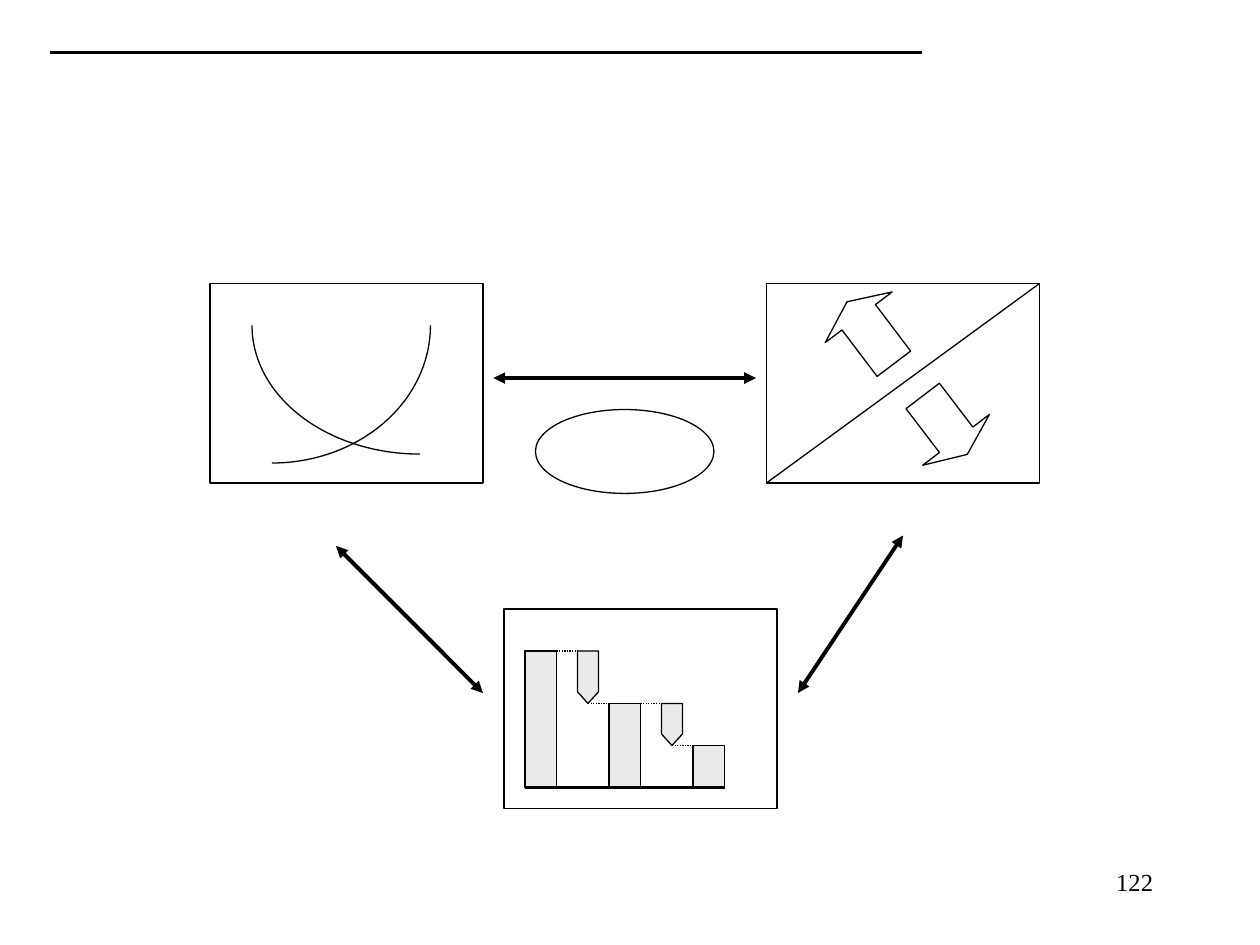
from dataclasses import dataclass
from lxml import etree
from pptx import Presentation
from pptx.dml.color import RGBColor
from pptx.enum.dml import MSO_LINE
from pptx.enum.shapes import MSO_CONNECTOR, MSO_SHAPE
from pptx.enum.text import PP_ALIGN
from pptx.oxml.ns import qn
from pptx.util import Cm, Pt

RECT, OVAL, ARC = MSO_SHAPE.RECTANGLE, MSO_SHAPE.OVAL, MSO_SHAPE.ARC
LEFT, RIGHT = MSO_SHAPE.LEFT_ARROW, MSO_SHAPE.RIGHT_ARROW
STRAIGHT, DOT = MSO_CONNECTOR.STRAIGHT, MSO_LINE.ROUND_DOT
END = PP_ALIGN.RIGHT
COLORS = {"ink": "000000", "paper": "FFFFFF", "bar": "EAEAEA"}
UNIT = 2.54 / 12
DEGREE = 0.6


@dataclass
class Box:
    left: float
    top: float
    width: float
    height: float


@dataclass
class Line:
    x1: float
    y1: float
    x2: float
    y2: float
    width: float = 0.75
    heads: bool = False
    dotted: bool = False


def grid(*steps: float) -> list[Cm]:
    return [Cm(step * UNIT) for step in steps]


def color(name: str) -> RGBColor:
    return RGBColor.from_string(COLORS[name])


def style(shape, fill: str | None) -> None:
    shape.shadow.inherit = False
    if fill:
        shape.fill.solid()
        shape.fill.fore_color.rgb = color(fill)
    else:
        shape.fill.background()
    shape.line.color.rgb = color("ink")
    shape.line.width = Pt(0.75)


def draw_shape(slide, kind, box: Box, fill: str | None = "paper",
               turn: float = 0, adjust: tuple = ()) -> None:
    shape = slide.shapes.add_shape(
        kind, *grid(box.left, box.top, box.width, box.height))
    style(shape, fill)
    shape.rotation = turn
    for index, value in enumerate(adjust):
        shape.adjustments[index] = value


def draw_curve(slide, box: Box, start: int) -> None:
    angles = (start * DEGREE, (start + 90) * DEGREE)
    draw_shape(slide, ARC, box, None, adjust=angles)


def draw_line(slide, line: Line) -> None:
    shape = slide.shapes.add_connector(
        STRAIGHT, *grid(line.x1, line.y1, line.x2, line.y2))
    shape.line.color.rgb = color("ink")
    shape.line.width = Pt(line.width)
    if line.dotted:
        shape.line.dash_style = DOT
    if line.heads:
        stroke = shape.line._get_or_add_ln()
        for end in ("a:headEnd", "a:tailEnd"):
            etree.SubElement(stroke, qn(end), type="triangle")
    etree.SubElement(shape._element.spPr, qn("a:effectLst"))


def draw_pin(slide, left: float, top: float, tip: float) -> None:
    neck = tip - 1.1
    points = [tuple(grid(x, y)) for x, y in (
        (left, top), (left, neck), (left + 1, tip),
        (left + 2, neck), (left + 2, top))]
    pen = slide.shapes.build_freeform(*points[0], scale=1.0)
    pen.add_line_segments(points[1:], close=True)
    style(pen.convert_to_shape(), "bar")


def draw_text(slide, text: str, box: Box, *, size: float, font: str,
              align) -> None:
    frame = slide.shapes.add_textbox(
        *grid(box.left, box.top, box.width, box.height)).text_frame
    frame.word_wrap = True
    para = frame.paragraphs[0]
    para.text = text
    para.alignment = align
    para.font.size = Pt(size)
    para.font.name = font
    para.font.color.rgb = color("ink")


def draw_steps(slide) -> None:
    first, pitch, wide, base = 50, 8, 3, 75
    tops = (62, 67, 71)
    for index, top in enumerate(tops):
        left = first + index * pitch
        draw_shape(slide, RECT, Box(left, top, wide, base - top), "bar")
        if index + 1 < len(tops):
            low = tops[index + 1]
            draw_pin(slide, left + 5, top, low)
            draw_line(slide, Line(left + wide, top, left + 5, top, dotted=True))
            draw_line(slide, Line(left + 6, low, left + pitch, low, dotted=True))
    last = first + (len(tops) - 1) * pitch + wide
    draw_line(slide, Line(first, base, last, base, 2.25))


def main() -> None:
    deck = Presentation()
    deck.slide_width, deck.slide_height = Cm(25.4), Cm(19.05)
    slide = deck.slides.add_slide(deck.slide_layouts[6])
    draw_line(slide, Line(4.8, 5, 87.8, 5, 1.5))
    for left, top in ((20, 27), (73, 27), (48, 58)):
        draw_shape(slide, RECT, Box(left, top, 26, 19))
    draw_curve(slide, Box(24, 18.75, 32, 24.5), 90)
    draw_curve(slide, Box(10.8, 17.9, 30.2, 26.2), 0)
    draw_line(slide, Line(99, 27, 73, 46))
    draw_shape(slide, RIGHT, Box(86.5, 36.5, 7, 8), turn=52.7, adjust=(0.5, 0.25))
    draw_shape(slide, LEFT, Box(79.2, 27.7, 7.4, 8), turn=52.9, adjust=(0.5, 0.25))
    draw_shape(slide, OVAL, Box(51, 39, 17, 8))
    draw_steps(slide)
    for ends in ((47, 36, 72, 36), (32, 52, 46, 66), (86, 51, 76, 66)):
        draw_line(slide, Line(*ends, width=2.25, heads=True))
    draw_text(slide, "122", Box(86, 82, 25, 6), size=14,
              font="Times New Roman", align=END)
    deck.save("out.pptx")


if __name__ == "__main__":
    main()
